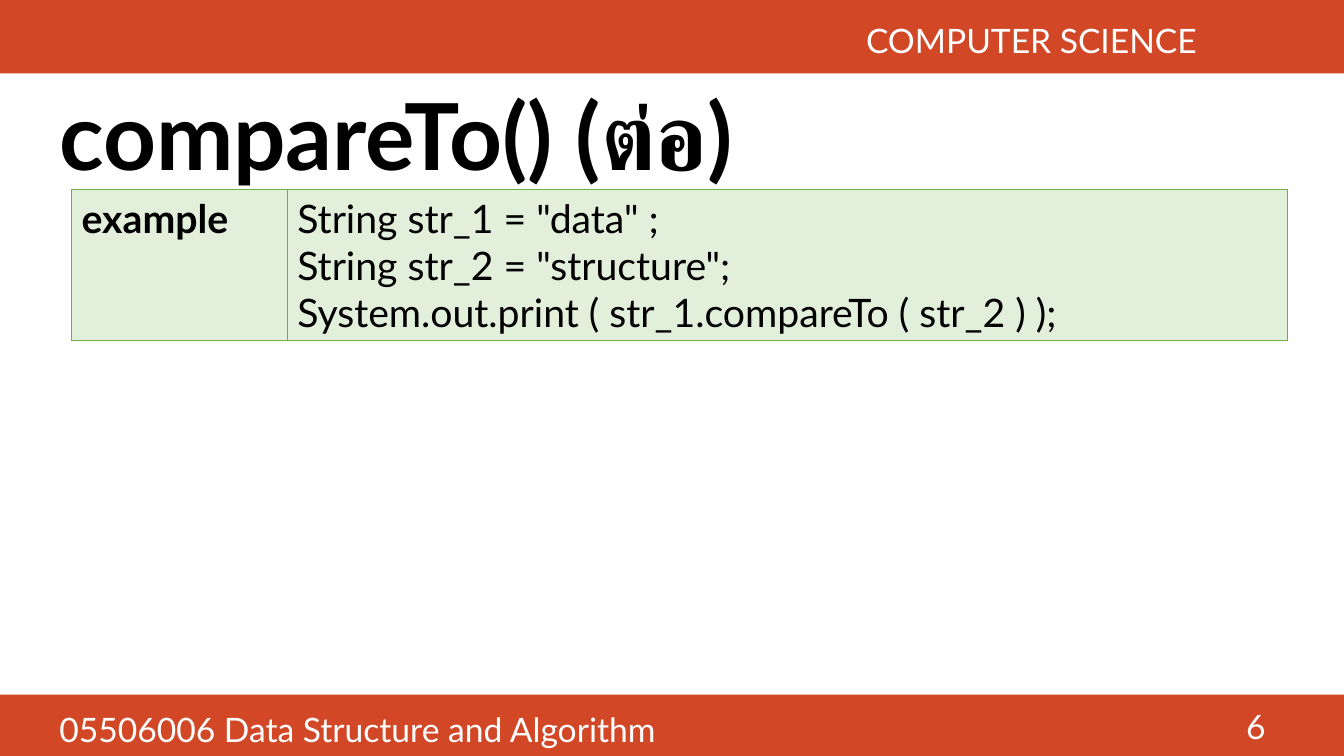
from dataclasses import dataclass

from lxml import etree
from pptx import Presentation
from pptx import util as u
from pptx.dml.color import RGBColor
from pptx.enum import shapes, text
from pptx.oxml import ns


@dataclass(frozen=True)
class Theme:
    """Colours, font and type sizes of the slide."""
    band: str = "D24726"
    edge: str = "70AD47"
    cell: str = "E2EFDA"
    ink: str = "000000"
    white: str = "FFFFFF"
    font: str = "Lato"
    title: int = 66
    code: int = 28
    label: int = 24


THEME = Theme()
LEFT, MID, TOP = text.PP_ALIGN.LEFT, text.MSO_ANCHOR.MIDDLE, text.MSO_ANCHOR.TOP
RIGHT = text.PP_ALIGN.RIGHT


def inches(box):
    """Turn a box of numbers into lengths."""
    return [u.Inches(n) for n in box]


def write(frame, lines, size, color, bold=False, align=LEFT):
    """Fill a text frame with one paragraph per line."""
    frame.word_wrap = True
    frame.text = "\n".join(lines)
    for para in frame.paragraphs:
        para.alignment = align
        font = para.font
        font.name, font.size, font.bold = THEME.font, u.Pt(size), bold
        font.color.rgb = RGBColor.from_string(color)


def label(slide, box, line, size=THEME.label, color=THEME.white,
          bold=False, align=LEFT, anchor=TOP):
    """Place one line of text in a box and return its frame."""
    frame = slide.shapes.add_textbox(*inches(box)).text_frame
    write(frame, [line], size, color, bold, align)
    frame.vertical_anchor = anchor
    return frame


def band(slide, box):
    """Draw a plain coloured band."""
    bar = slide.shapes.add_shape(shapes.MSO_SHAPE.RECTANGLE, *inches(box))
    bar.shadow.inherit = False
    bar.fill.solid()
    bar.fill.fore_color.rgb = RGBColor.from_string(THEME.band)
    bar.line.fill.background()


def header(slide, box, topic):
    """Draw the top band with its topic at the right."""
    x, y, w, _ = box
    band(slide, box)
    label(slide, (x, y + 0.15, w - 1.36, 0.54), topic, align=RIGHT)


def footer(slide, box, course, page):
    """Draw the bottom band with course name and page number."""
    x, y, w, _ = box
    band(slide, box)
    label(slide, (x + 0.49, y + 0.09, 11.48, 0.66), course)
    label(slide, (x + w - 3.68, y + 0.11, 3, 0.4), page,
          align=RIGHT, anchor=MID)


def heading(slide, box, line):
    """Place the slide title."""
    frame = label(slide, box, line, THEME.title, THEME.ink, True, anchor=MID)
    frame.paragraphs[0].line_spacing = 0.9


def border(cell):
    """Outline a table cell on all four sides."""
    props = cell._tc.get_or_add_tcPr()
    for spot, side in enumerate(("lnL", "lnR", "lnT", "lnB")):
        line = etree.Element(ns.qn(f"a:{side}"), w=str(u.Pt(1)))
        fill = etree.SubElement(line, ns.qn("a:solidFill"))
        etree.SubElement(fill, ns.qn("a:srgbClr"), val=THEME.edge)
        props.insert(spot, line)


def sample(slide, box, name, code):
    """Build the code table: a bold name beside its code lines."""
    grid = slide.shapes.add_table(1, 2, *inches(box)).table
    first = 2.14
    for col, width in zip(grid.columns, (first, box[2] - first)):
        col.width = u.Inches(width)
    for cell, lines, bold in zip(grid.rows[0].cells, ([name], code), (True, False)):
        write(cell.text_frame, lines, THEME.code, THEME.ink, bold)
        cell.fill.solid()
        cell.fill.fore_color.rgb = RGBColor.from_string(THEME.cell)
        border(cell)


def main():
    """Build the slide and save it."""
    deck = Presentation()
    deck.slide_width, deck.slide_height = inches((13.33, 7.5))
    slide = deck.slides.add_slide(deck.slide_layouts[6])
    heading(slide, (0.49, 0.76, 12.28, 1.27), "compareTo() (ต่อ)")
    footer(slide, (0, 6.89, 13.33, 0.61),
           "05506006 Data Structure and Algorithm", "6")
    header(slide, (0, 0, 13.33, 0.73), "COMPUTER SCIENCE")
    sample(slide, (0.71, 1.88, 12.06, 1.5), "example", [
        'String str_1 = "data" ;',
        'String str_2 = "structure";',
        "System.out.print ( str_1.compareTo ( str_2 ) );",
    ])
    deck.save("out.pptx")


main()
